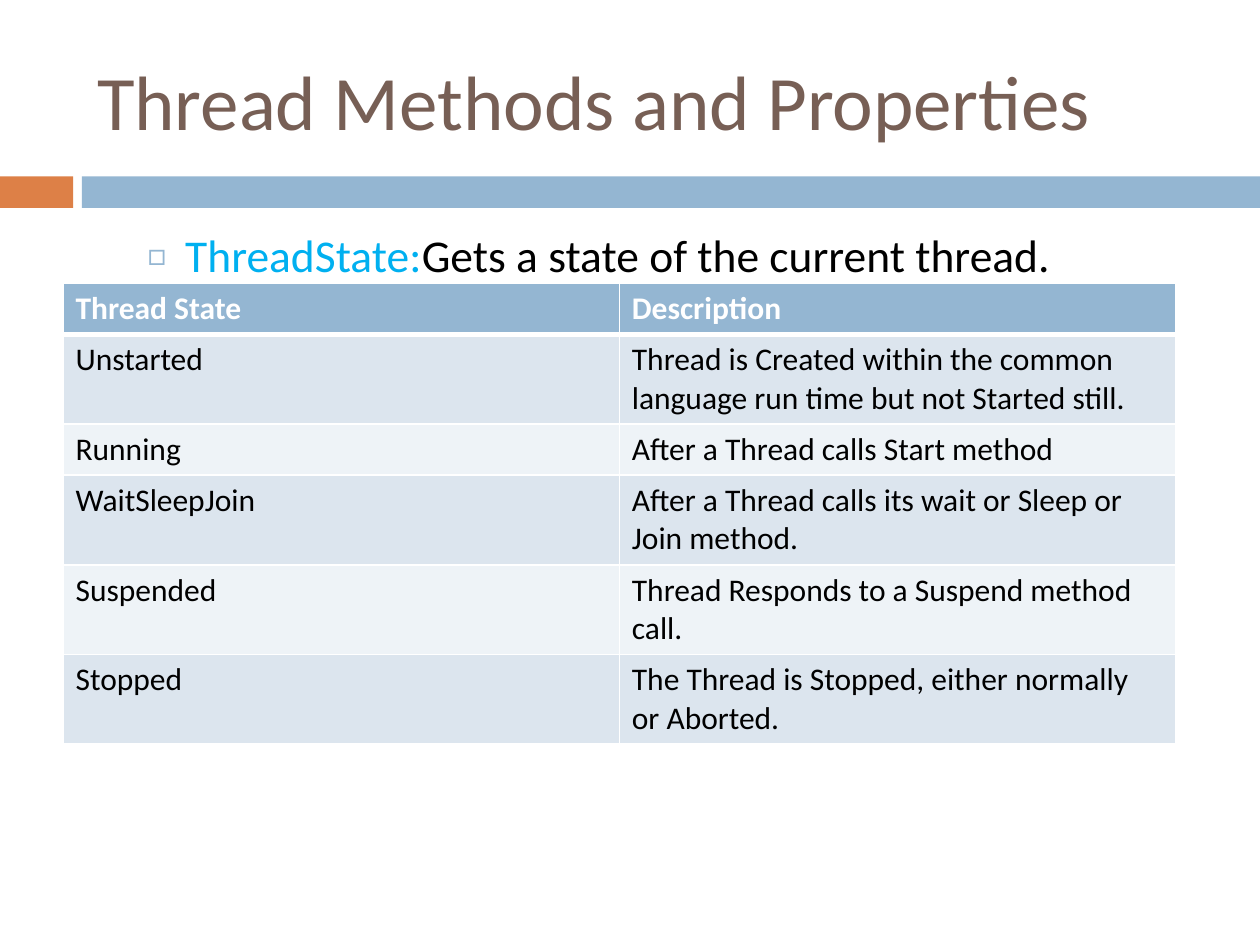
from lxml.etree import SubElement
from pptx import Presentation
from pptx.dml.color import RGBColor
from pptx.enum.shapes import MSO_SHAPE as Shape
from pptx.enum.text import MSO_ANCHOR as Anchor, PP_ALIGN as Align
from pptx.oxml.ns import qn
from pptx.util import Inches, Pt

FONT = "Calibri"
WHITE = RGBColor(0xFF, 0xFF, 0xFF)
BLACK = RGBColor(0, 0, 0)
BROWN = RGBColor(0x77, 0x5F, 0x55)
ORANGE = RGBColor(0xDD, 0x80, 0x47)
BLUE = RGBColor(0x94, 0xB6, 0xD2)
CYAN = RGBColor(0x00, 0xB0, 0xF0)
BAND_DARK = RGBColor(0xDC, 0xE5, 0xEE)
BAND_LIGHT = RGBColor(0xEE, 0xF3, 0xF7)

STATES = [
    ("Thread State", "Description"),
    ("Unstarted", "Thread is Created within the common language run time "
                  "but not Started still."),
    ("Running", "After a Thread calls Start method"),
    ("WaitSleepJoin", "After a Thread calls its wait or Sleep or Join method."),
    ("Suspended", "Thread Responds to a Suspend method call."),
    ("Stopped", "The Thread is Stopped, either normally or Aborted."),
]


def place(shape, box):
    shape.left, shape.top, shape.width, shape.height = map(Inches, box)


def style(span, size, color, bold=False):
    span.font.name = FONT
    span.font.size = Pt(size)
    span.font.bold = bold
    span.font.color.rgb = color


def add_band(page, box, gap_start=0.58, gap_end=0.65):
    """Orange block and blue bar, parted by a narrow gap."""
    left, top, width, height = box
    parts = [(left, gap_start, ORANGE), (left + gap_end, width - gap_end, BLUE)]
    for part_left, part_width, color in parts:
        bar = page.shapes.add_shape(
            Shape.RECTANGLE, *map(Inches, (part_left, top, part_width, height)))
        bar.shadow.inherit = False
        bar.fill.solid()
        bar.fill.fore_color.rgb = color
        bar.line.fill.background()


def fill_title(title, box):
    place(title, box)
    frame = title.text_frame
    frame.text = "Thread Methods and Properties"
    frame.vertical_anchor = Anchor.MIDDLE
    para = frame.paragraphs[0]
    para.alignment = Align.LEFT
    style(para.runs[0], 44, BROWN)


def add_bullet(para):
    props = para._p.get_or_add_pPr()
    props.set("marL", str(Inches(0.7)))
    props.set("indent", str(Inches(-0.3)))
    color = SubElement(props, qn("a:buClr"))
    SubElement(color, qn("a:srgbClr"), val=str(BLUE))
    SubElement(props, qn("a:buSzPct"), val="70000")
    SubElement(props, qn("a:buFont"), typeface=FONT)
    SubElement(props, qn("a:buChar"), char="□")


def fill_body(body, box):
    place(body, box)
    para = body.text_frame.paragraphs[0]
    para.level = 1
    para.space_before = Pt(5.5)
    add_bullet(para)
    for text, color in [("ThreadState:", CYAN),
                        ("Gets a state of the current thread.", BLACK)]:
        span = para.add_run()
        span.text = text
        style(span, 26, color)


def set_borders(cell, bottom):
    props = cell._tc.get_or_add_tcPr()
    for index, (side, width) in enumerate(
            [("L", 1), ("R", 1), ("T", 1), ("B", bottom)]):
        line = props.makeelement(qn(f"a:ln{side}"), {"w": str(Pt(width))})
        fill = SubElement(line, qn("a:solidFill"))
        SubElement(fill, qn("a:srgbClr"), val=str(WHITE))
        props.insert(index, line)


def add_state_table(page, box):
    table = page.shapes.add_table(
        len(STATES), len(STATES[0]), *map(Inches, box)).table
    for row_index, texts in enumerate(STATES):
        header = row_index == 0
        band = BAND_DARK if row_index % 2 else BAND_LIGHT
        for column, text in enumerate(texts):
            cell = table.cell(row_index, column)
            cell.text = text
            style(cell.text_frame.paragraphs[0].runs[0], 18,
                  WHITE if header else BLACK, bold=header)
            cell.fill.solid()
            cell.fill.fore_color.rgb = BLUE if header else band
            set_borders(cell, bottom=3 if header else 1)
            if row_index == 1:
                # The rule under the header is shared with the first row
                top = cell._tc.tcPr.find(qn("a:lnT"))
                top.set("w", str(Pt(3)))


def main():
    deck = Presentation()
    deck.slide_width, deck.slide_height = Inches(10), Inches(7.5)
    page = deck.slides.add_slide(deck.slide_layouts[1])
    add_band(page, (0, 1.4, 10, 0.25))
    fill_title(page.shapes.title, (0.67, 0.25, 8.92, 1.08))
    fill_body(page.placeholders[1], (0.67, 1.75, 8.92, 4.92))
    # Rows start at one text line and grow where the text wraps
    add_state_table(page, (0.5, 2.25, 8.83, 0.4 * len(STATES)))
    deck.save("out.pptx")


if __name__ == "__main__":
    main()
